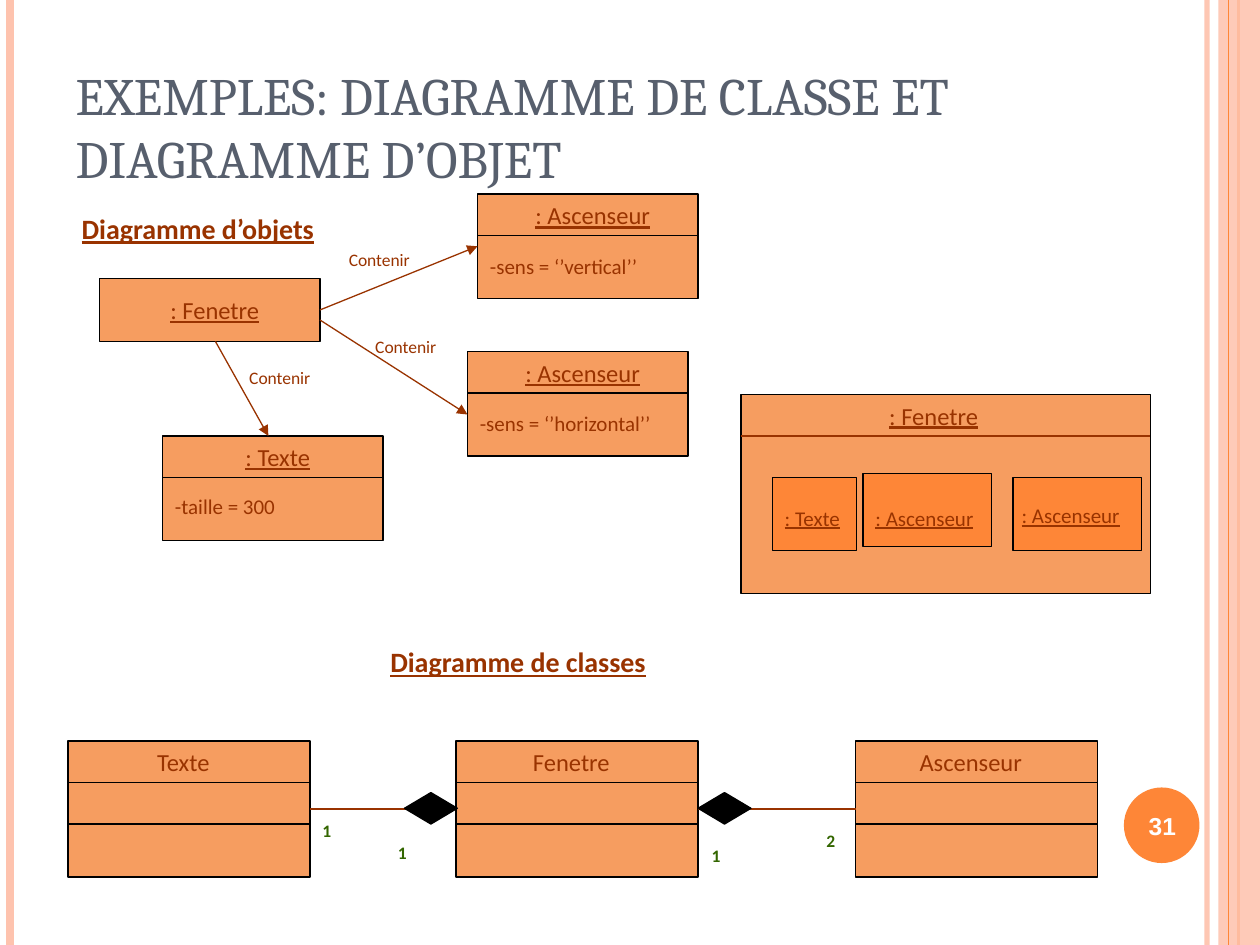
from lxml import etree
from pptx import Presentation
from pptx import util as u
from pptx.dml.color import RGBColor
from pptx.enum import shapes, text
from pptx.oxml.ns import qn

ORANGE = RGBColor(0xFE, 0x86, 0x37)
PEACH = RGBColor(0xFE, 0xC3, 0xAE)
BOX = RGBColor(0xF6, 0x9D, 0x60)
BROWN = RGBColor(0x99, 0x33, 0x00)
GREEN = RGBColor(0x33, 0x66, 0x00)
SLATE = RGBColor(0x57, 0x5F, 0x6D)
BLACK = RGBColor(0, 0, 0)
WHITE = RGBColor(0xFF, 0xFF, 0xFF)

TOP, LEFT, BOTTOM, RIGHT = range(4)
HEADER = 0.33


class Diagram:
    def __init__(self, slide):
        self.slide = slide

    @staticmethod
    def set_alpha(properties, percent):
        color = properties.find(".//" + qn("a:srgbClr"))
        etree.SubElement(color, qn("a:alpha")).set("val", str(percent * 1000))

    def format_text(self, frame, content, size, color, font="Calibri",
                    align=text.PP_ALIGN.LEFT, anchor=text.MSO_ANCHOR.TOP,
                    bold=False, underline=False):
        frame.word_wrap = True
        frame.vertical_anchor = anchor
        frame.text = content
        paragraph = frame.paragraphs[0]
        paragraph.alignment = align
        style = paragraph.runs[0].font
        style.name, style.size = font, u.Pt(size)
        style.bold, style.underline = bold, underline
        style.color.rgb = color

    def title(self, content, left, top, width, height):
        shape = self.slide.shapes.title
        shape.left, shape.top = u.Inches(left), u.Inches(top)
        shape.width, shape.height = u.Inches(width), u.Inches(height)
        self.format_text(shape.text_frame, content, 30, SLATE, "Cambria",
                         anchor=text.MSO_ANCHOR.BOTTOM)

    def label(self, content, left, top, width, height, size, color=BROWN, **style):
        shape = self.slide.shapes.add_textbox(
            u.Inches(left), u.Inches(top), u.Inches(width), u.Inches(height))
        self.format_text(shape.text_frame, content, size, color, **style)

    def shape(self, left, top, width, height, fill=BOX, outline=BLACK,
              kind=shapes.MSO_SHAPE.RECTANGLE, alpha=None):
        shape = self.slide.shapes.add_shape(
            kind, u.Inches(left), u.Inches(top), u.Inches(width), u.Inches(height))
        shape.shadow.inherit = False
        shape.fill.solid()
        shape.fill.fore_color.rgb = fill
        if outline is None:
            shape.line.fill.background()
        else:
            shape.line.color.rgb = outline
            shape.line.width = u.Pt(0.75)
        if alpha:
            self.set_alpha(shape._element.spPr, alpha)
        return shape

    def line(self, start, end, color=BLACK, width=0.75, arrow=False, alpha=None):
        connector = self.slide.shapes.add_connector(
            shapes.MSO_CONNECTOR.STRAIGHT, *(u.Inches(value) for value in start + end))
        connector.line.color.rgb = color
        connector.line.width = u.Pt(width)
        properties = connector._element.spPr
        if alpha:
            self.set_alpha(properties, alpha)
        if arrow:
            tail = etree.SubElement(properties.find(qn("a:ln")), qn("a:tailEnd"))
            tail.set("type", "triangle")
        etree.SubElement(properties, qn("a:effectLst"))
        return connector

    def object_box(self, name, attribute, left, top, attribute_offset):
        box = self.shape(left, top, 1.75, 0.83)
        self.label(name, left + 0.08, top, 1.67, 0.34, 14,
                   align=text.PP_ALIGN.CENTER, underline=True)
        self.line((left, top + HEADER), (left + 1.75, top + HEADER))
        self.label(attribute, left, top + attribute_offset, 1.75, 0.3, 12)
        return box

    def class_box(self, name, left, top=5.88, width=1.92):
        box = self.shape(left, top, width, 1.08)
        for row in (1, 2):
            y = top + row * HEADER
            self.line((left, y), (left + width, y))
        self.label(name, left + 0.25, top, 1.33, 0.34, 14,
                   align=text.PP_ALIGN.CENTER)
        return box

    def composition(self, whole, whole_side, part, part_side, diamond_left):
        link = self.line((0, 0), (1, 1), BROWN)
        link.begin_connect(whole, whole_side)
        link.end_connect(part, part_side)
        self.shape(diamond_left, 6.29, 0.42, 0.25, BLACK,
                   kind=shapes.MSO_SHAPE.DIAMOND)


def main():
    presentation = Presentation()
    presentation.slide_width, presentation.slide_height = u.Inches(10), u.Inches(7.5)
    diagram = Diagram(presentation.slides.add_slide(presentation.slide_layouts[5]))

    # Side bands and page number disc
    for x, color, width, alpha in ((9.58, PEACH, 3, 93), (0.08, PEACH, 4.5, None),
                                   (9.83, ORANGE, 1.5, None)):
        diagram.line((x, 0), (x, 7.5), color, width, alpha=alpha)
    diagram.shape(9.67, 0, 0.33, 7.5, PEACH, None, alpha=87)
    diagram.line((9.75, 0), (9.75, 7.5), ORANGE)
    diagram.shape(8.92, 6.25, 0.6, 0.6, ORANGE, None, shapes.MSO_SHAPE.OVAL)
    diagram.label("31", 8.89, 6.27, 0.67, 0.57, 14, WHITE, font="Arial", bold=True,
                  align=text.PP_ALIGN.CENTER, anchor=text.MSO_ANCHOR.MIDDLE)

    # Titles
    diagram.title("EXEMPLES: DIAGRAMME DE CLASSE ET DIAGRAMME D’OBJET",
                  0.5, 0.3, 8.17, 1.25)
    for heading, left, top, width in (("Diagramme d’objets", 0.55, 1.63, 2.43),
                                      ("Diagramme de classes", 3, 5.07, 2.67)):
        diagram.label(heading, left, top, width, 0.37, 16, bold=True, underline=True)

    # Composite window object
    diagram.shape(5.88, 3.13, 3.25, 1.58)
    diagram.line((5.88, 3.46), (9.13, 3.46), BROWN)
    diagram.label(": Fenetre", 6.37, 3.13, 2.08, 0.34, 14,
                  align=text.PP_ALIGN.CENTER, underline=True)
    for name, left, top, width, text_left, text_top, text_width in (
            (": Texte", 6.13, 3.79, 0.67, 6.13, 3.96, 0.83),
            (": Ascenseur", 6.85, 3.76, 1.02, 6.85, 3.96, 1.1),
            (": Ascenseur", 8.04, 3.79, 1.02, 8.01, 3.94, 1.15)):
        diagram.shape(left, top, width, 0.58, ORANGE)
        diagram.label(name, text_left, text_top, text_width, 0.61, 12, underline=True)

    # Object diagram
    window = diagram.shape(0.79, 2.21, 1.75, 0.5)
    diagram.label(": Fenetre", 0.87, 2.29, 1.67, 0.34, 14,
                  align=text.PP_ALIGN.CENTER, underline=True)
    vertical = diagram.object_box(": Ascenseur", "-sens = ‘’vertical’’", 3.79, 1.54, 0.42)
    diagram.object_box(": Ascenseur", "-sens = ‘’horizontal’’", 3.71, 2.79, 0.42)
    diagram.object_box(": Texte", "-taille = 300", 1.29, 3.46, 0.41)

    to_vertical = diagram.line((2.54, 2.46), (3.79, 1.96), BROWN, arrow=True)
    to_vertical.begin_connect(window, RIGHT)
    to_vertical.end_connect(vertical, LEFT)
    diagram.line((2.54, 2.54), (3.71, 3.29), BROWN, arrow=True)
    diagram.line((1.71, 2.71), (2.13, 3.46), BROWN, arrow=True)
    for left, top in ((2.67, 1.93), (2.88, 2.62), (1.88, 2.86)):
        diagram.label("Contenir", left, top, 1, 0.27, 10)

    # Class diagram
    text_class = diagram.class_box("Texte", 0.54)
    window_class = diagram.class_box("Fenetre", 3.62)
    lift_class = diagram.class_box("Ascenseur", 6.79)
    diagram.composition(window_class, LEFT, text_class, RIGHT, 3.21)
    diagram.composition(window_class, RIGHT, lift_class, LEFT, 5.54)
    for count, left, top, width in (("1", 2.46, 6.46, 0.42), ("1", 3.06, 6.63, 0.32),
                                    ("1", 5.55, 6.66, 0.32), ("2", 6.46, 6.54, 0.42)):
        diagram.label(count, left, top, width, 0.27, 10, GREEN, bold=True)

    presentation.save("out.pptx")


if __name__ == "__main__":
    main()
